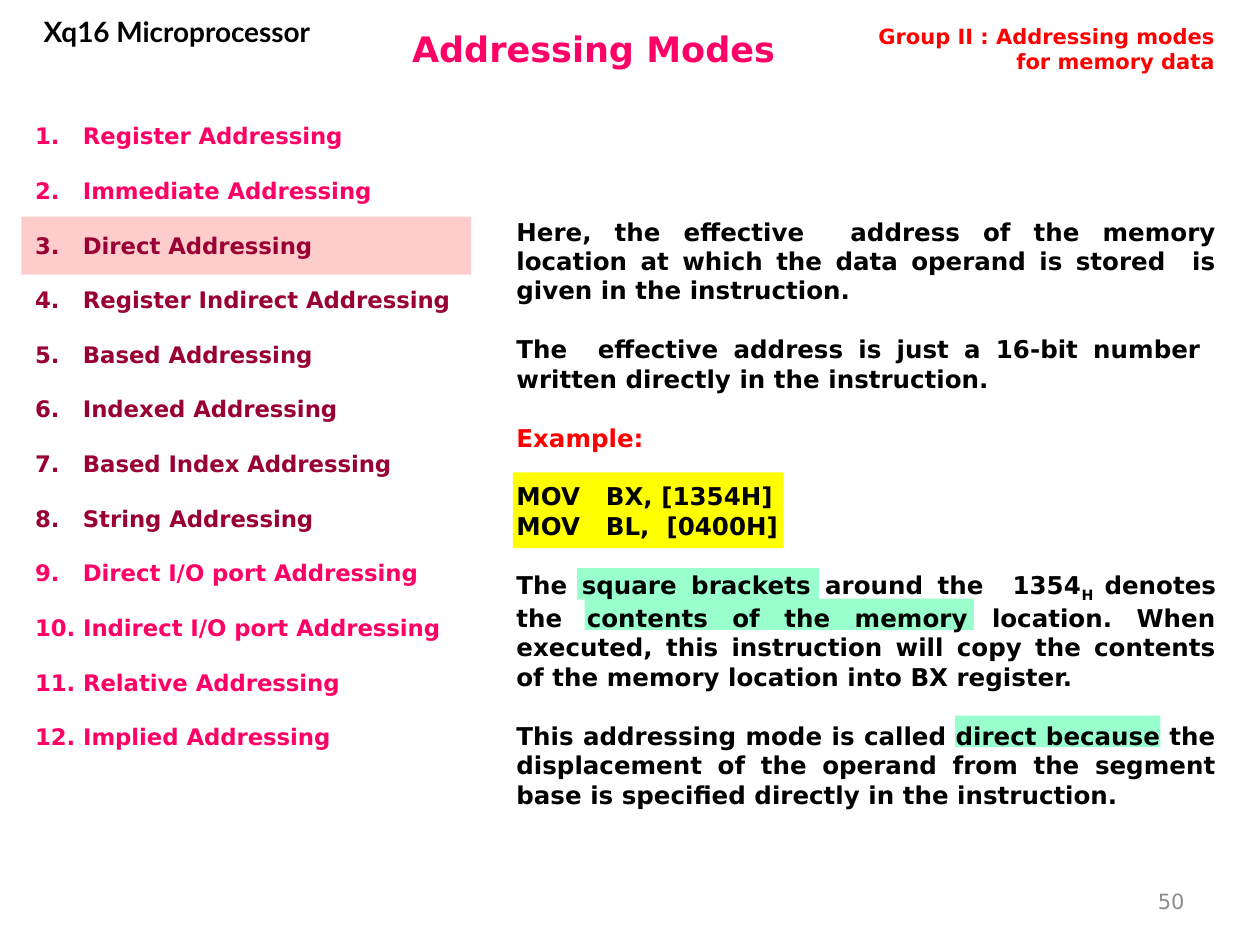
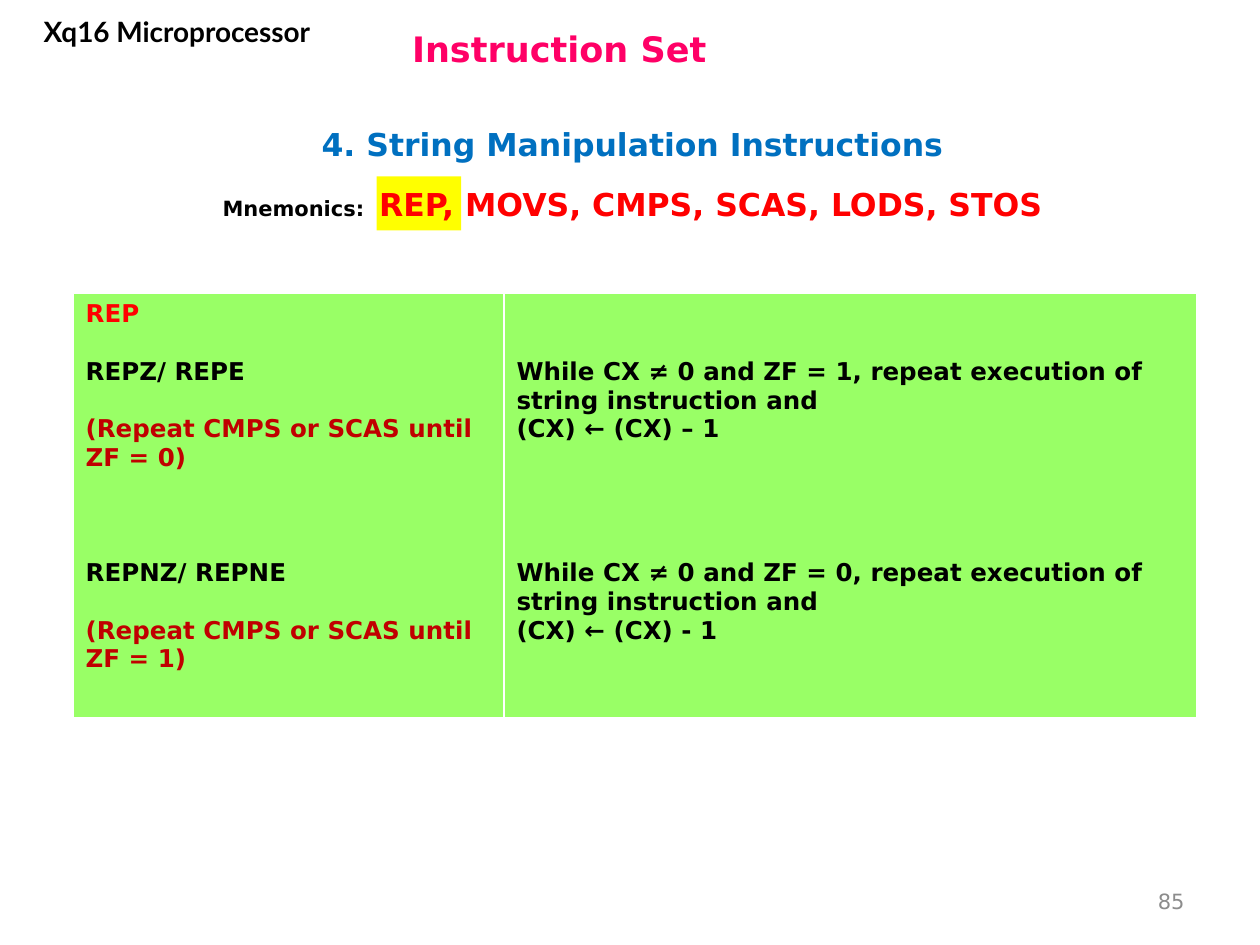
import pptx
import pptx.util
import pptx.dml.color
import pptx.enum.shapes
import pptx.enum.text
import pptx.oxml.ns
from lxml import etree
from dataclasses import dataclass

Inches, Pt = pptx.util.Inches, pptx.util.Pt
ALIGN = pptx.enum.text.PP_ALIGN
MID = pptx.enum.text.MSO_ANCHOR.MIDDLE
TOP = pptx.enum.text.MSO_ANCHOR.TOP


@dataclass(frozen=True)
class Theme:
    font: str = "DejaVu Sans"
    brand: str = "Lato"
    pink: str = "FF0066"
    wine: str = "990033"
    red: str = "FF0000"
    brick: str = "C00000"
    blue: str = "0070C0"
    black: str = "000000"
    grey: str = "8C8C8C"
    yellow: str = "FFFF00"
    mint: str = "99FFCC"
    rose: str = "FFCCCC"
    lime: str = "99FF66"
    title: int = 20
    head: int = 18
    name: int = 16
    body: int = 14
    item: int = 13
    small: int = 12


T = Theme()

# Line pitch in points, used as the gap between blocks
BODY_GAP, ITEM_GAP, CELL_GAP = 16.8, 15.6, 16.43

COURSE = "Xq16 Microprocessor"
GROUP = "Group II : Addressing modes for memory data"

MODES = [
    ("Register Addressing", T.pink),
    ("Immediate Addressing", T.pink),
    ("Direct Addressing", T.wine),
    ("Register Indirect Addressing", T.wine),
    ("Based Addressing", T.wine),
    ("Indexed Addressing", T.wine),
    ("Based Index Addressing", T.wine),
    ("String Addressing", T.wine),
    ("Direct I/O port Addressing", T.pink),
    ("10. Indirect I/O port Addressing", T.pink),
    ("11. Relative Addressing", T.pink),
    ("12. Implied Addressing", T.pink),
]
AUTO = 9  # modes numbered by the list itself

# (text, format) pairs; join continues the paragraph before
DIRECT = [
    ("Here, the effective  address of the memory location at which the data "
     "operand is stored  is given in the instruction. ", {}),
    ("The  effective address is just a 16-bit number  written directly in "
     "the instruction. ", {}),
    ("Example:", dict(color=T.red)),
    ("MOV\tBX, [1354H] ", dict(tab=0.71)),
    ("MOV\tBL,  [0400H]", dict(tab=0.71, gap=0)),
    ("The square brackets around the  1354", {}),
    ("H ", dict(join=True, base=-25)),
    ("denotes the contents of the memory location. When executed, this "
     "instruction will copy the contents of the memory location into BX "
     "register. ", dict(join=True)),
    ("This addressing mode is called direct because the displacement of the "
     "operand from the segment base is specified directly in the "
     "instruction. ", {}),
]

MARKS = [
    (7.58, 5.68, 1.63, 0.25, T.mint),
    (4.64, 4.75, 3.09, 0.25, T.mint),
    (4.58, 4.51, 1.92, 0.25, T.mint),
    (4.07, 3.75, 2.15, 0.6, T.yellow),
    (0.17, 1.72, 3.57, 0.46, T.rose),
]

# Cells of (text, colour, blank lines above)
REPEAT = [
    [("REP", T.red, 0),
     ("REPZ/ REPE", T.black, 1),
     ("(Repeat CMPS or SCAS until ZF = 0)", T.brick, 1),
     ("REPNZ/ REPNE", T.black, 3),
     ("(Repeat CMPS or SCAS until ZF = 1)", T.brick, 1)],
    [("While CX ≠ 0 and ZF = 1, repeat execution of string instruction and",
      T.black, 2),
     ("(CX) ← (CX) – 1", T.black, 0),
     ("While CX ≠ 0 and ZF = 0, repeat execution of string instruction and",
      T.black, 4),
     ("(CX) ← (CX) - 1", T.black, 0)],
]
COLS = (3.42, 5.5)


def rgb(code):
    return pptx.dml.color.RGBColor.from_string(code)


def sub(node, tag, **attrs):
    return etree.SubElement(node, pptx.oxml.ns.qn(tag), **attrs)


def write(frame, text, size=T.body, color=T.black, font=T.font, bold=True,
          align=ALIGN.LEFT, gap=0, join=False, base=0, tab=0):
    """Add text as a new paragraph, or to the last one if join is set."""
    para = frame.paragraphs[-1]
    if not join:
        if para.runs:
            para = frame.add_paragraph()
        para.alignment = align
        para.space_before = Pt(gap)
        if tab:
            stops = sub(para._p.get_or_add_pPr(), "a:tabLst")
            sub(stops, "a:tab", pos=str(Inches(tab)), algn="l")
    run = para.add_run()
    run.text = text
    run.font.size, run.font.name, run.font.bold = Pt(size), font, bold
    run.font.color.rgb = rgb(color)
    if base:
        run._r.get_or_add_rPr().set("baseline", str(base * 1000))
    return para


def number(para):
    """Give a paragraph a hanging automatic number."""
    props = para._p.get_or_add_pPr()
    props.set("marL", str(Inches(0.38)))
    props.set("indent", str(-Inches(0.38)))
    sub(props, "a:buFont", typeface="+mj-lt")
    sub(props, "a:buAutoNum", type="arabicPeriod")


def box(slide, left, top, width, height, anchor=TOP, wrap=True):
    shape = slide.shapes.add_textbox(*map(Inches, (left, top, width, height)))
    frame = shape.text_frame
    frame.word_wrap, frame.vertical_anchor = wrap, anchor
    return frame


def mark(slide, left, top, width, height, color):
    shape = slide.shapes.add_shape(
        pptx.enum.shapes.MSO_SHAPE.RECTANGLE,
        *map(Inches, (left, top, width, height)))
    shape.shadow.inherit = False
    shape.fill.solid()
    shape.fill.fore_color.rgb = rgb(color)
    shape.line.fill.background()


def start(deck, title, page):
    """Add a slide with its title, course name and page number."""
    slide = deck.slides.add_slide(deck.slide_layouts[5])
    head = slide.shapes.title
    head.left, head.top, head.width, head.height = map(
        Inches, (3.17, 0.12, 6.58, 0.53))
    frame = head.text_frame
    frame.vertical_anchor = MID
    frame.auto_size = pptx.enum.text.MSO_AUTO_SIZE.NONE
    write(frame, title, size=T.title, color=T.pink)
    write(box(slide, 7.17, 6.95, 2.33, 0.4, anchor=MID), str(page),
          size=T.small, color=T.grey, bold=False, align=ALIGN.RIGHT)
    write(box(slide, 0.07, 0.07, 2.67, 0.64), COURSE,
          size=T.name, font=T.brand, align=ALIGN.CENTER)
    return slide


def modes(deck):
    slide = start(deck, "Addressing Modes", 50)
    for spot in MARKS:
        mark(slide, *spot)
    items = box(slide, 0.18, 0.92, 3.56, 5.13, wrap=False)
    for i, (text, color) in enumerate(MODES):
        para = write(items, text, size=T.item, color=color,
                     gap=ITEM_GAP if i else 0)
        if i < AUTO:
            number(para)
    body = box(slide, 4, 1.67, 5.75, 4.92)
    for i, (text, form) in enumerate(DIRECT):
        base = dict(align=ALIGN.JUSTIFY, gap=BODY_GAP if i else 0)
        write(body, text, **{**base, **form})
    write(box(slide, 6.71, 0.14, 3.03, 0.5), GROUP,
          size=T.small, color=T.red, align=ALIGN.RIGHT)


def strings(deck):
    slide = start(deck, "Instruction Set", 85)
    mark(slide, 2.99, 1.4, 0.67, 0.43, T.yellow)
    write(box(slide, 0.29, 0.93, 9.46, 0.43, anchor=MID),
          "4. String Manipulation Instructions",
          size=T.head, color=T.blue, align=ALIGN.CENTER)
    names = box(slide, 0.29, 1.42, 9.46, 0.4)
    write(names, "Mnemonics:  ", size=T.small, align=ALIGN.CENTER)
    write(names, "REP, MOVS, CMPS, SCAS, LODS, STOS",
          size=T.head, color=T.red, join=True)

    table = slide.shapes.add_table(
        1, len(COLS), Inches(0.58), Inches(2.33),
        Inches(sum(COLS)), Inches(3.37)).table
    table.first_row = table.horz_banding = False
    for i, (width, lines) in enumerate(zip(COLS, REPEAT)):
        table.columns[i].width = Inches(width)
        cell = table.cell(0, i)
        cell.fill.solid()
        cell.fill.fore_color.rgb = rgb(T.lime)
        # Blank lines above the first paragraph become the top margin
        cell.margin_top = Inches(0.05) + Pt(lines[0][2] * CELL_GAP)
        for j, (text, color, blank) in enumerate(lines):
            write(cell.text_frame, text, color=color,
                  gap=blank * CELL_GAP if j else 0)


def main():
    deck = pptx.Presentation()
    deck.slide_width, deck.slide_height = Inches(10), Inches(7.5)
    modes(deck)
    strings(deck)
    deck.save("out.pptx")


if __name__ == "__main__":
    main()
